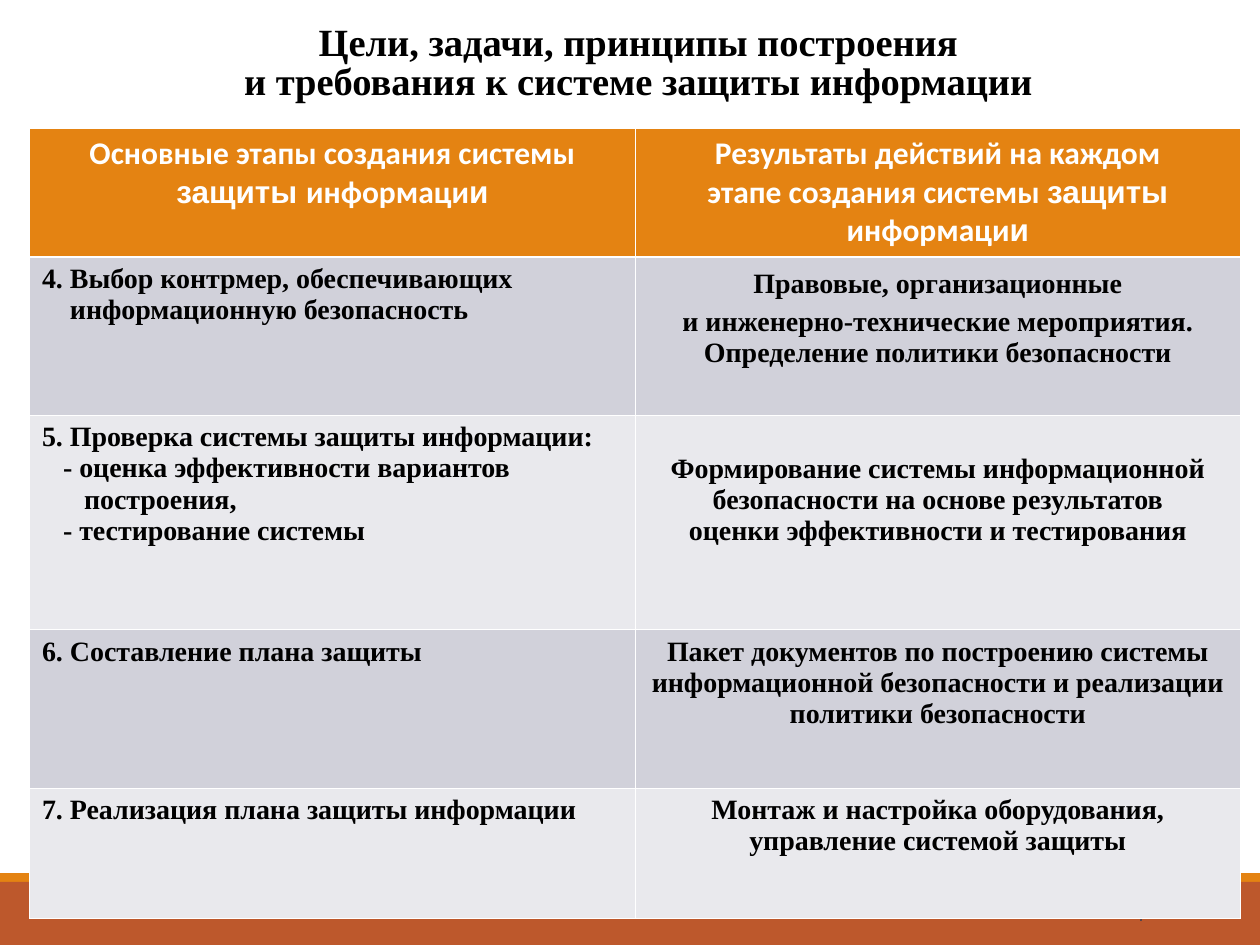
from lxml import etree
from pptx import Presentation
from pptx.dml.color import RGBColor
from pptx.enum import shapes, text
from pptx.oxml import ns
from pptx.util import Pt

SERIF, SANS, ARIAL = "Times New Roman", "Calibri", "Arial"
ORANGE, RUST, BLACK, WHITE = "E48312", "BD582C", "000000", "FFFFFF"
BANDS = ["D1D1DA", "E9E9ED"]
COLUMNS = [346.3, 345.6]
ROWS = [73.4, 90.7, 122.4, 90.7, 74.2]
INFORMATION = [("защиты ", ARIAL), ("информаци", SANS), ("и", ARIAL)]
HEADINGS = [
    [[("Основные этапы создания системы ", SANS)] + INFORMATION],
    [[("Результаты действий на каждом", SANS)],
     [("этапе создания системы ", SANS)] + INFORMATION],
]
STAGES = [
    [("4. Выбор контрмер, обеспечивающих", 0), ("информационную безопасность", 16)],
    [("5. Проверка системы защиты информации:", 0),
     ("- оценка эффективности вариантов", 12), ("построения,", 24),
     ("- тестирование системы", 12)],
    [("6. Составление плана защиты", 0)],
    [("7. Реализация плана защиты информации", 0)],
]
RESULTS = [
    (3, 4, ["Правовые, организационные", "и инженерно-технические мероприятия.",
            "Определение политики безопасности"]),
    (18, 0, ["Формирование системы информационной безопасности на основе результатов",
             "оценки эффективности и тестирования"]),
    (0, 0, ["Пакет документов по построению системы информационной безопасности "
            "и реализации политики безопасности"]),
    (0, 0, ["Монтаж и настройка оборудования, управление системой защиты"]),
]


def color(value):
    """Return the colour for a hex string."""
    return RGBColor.from_string(value)


def style(paragraph, size, ink, face=None, bold=True, align=text.PP_ALIGN.CENTER):
    """Set the alignment and font of a paragraph."""
    paragraph.alignment = align
    font = paragraph.font
    font.size, font.bold, font.color.rgb = Pt(size), bold, color(ink)
    if face:
        font.name = face


def add_label(slide, box, words, anchor):
    """Add a wrapped text box and return its paragraph."""
    frame = slide.shapes.add_textbox(*map(Pt, box)).text_frame
    frame.word_wrap, frame.vertical_anchor = True, anchor
    frame.text = words
    return frame.paragraphs[0]


def add_title(slide, box):
    """Add the two-line title, which grows upwards from the bottom of its box."""
    words = "Цели, задачи, принципы построения\vи требования к системе защиты информации"
    title = add_label(slide, box, words, text.MSO_ANCHOR.BOTTOM)
    style(title, 22, BLACK, SERIF)
    title.line_spacing = 0.85


def add_footer(slide, left, top, width, height):
    """Add the two bars at the foot and the slide number."""
    for offset, depth, fill in [(0, 5, ORANGE), (5, height - 5, RUST)]:
        bar = slide.shapes.add_shape(shapes.MSO_SHAPE.RECTANGLE, Pt(left),
                                     Pt(top + offset), Pt(width), Pt(depth))
        bar.shadow.inherit = False
        bar.fill.solid()
        bar.fill.fore_color.rgb = color(fill)
        bar.line.fill.background()
    number = add_label(slide, (left + 584.6, top + 9.3, 77.8, 28.8), "7",
                       text.MSO_ANCHOR.MIDDLE)
    style(number, 10, "3F4052", ARIAL, False, text.PP_ALIGN.RIGHT)


def paint(cell, fill, top=0.45, bottom=0.45):
    """Give a cell its fill and white borders."""
    cell.fill.solid()
    cell.fill.fore_color.rgb = color(fill)
    properties = cell._tc.get_or_add_tcPr()
    for place, (side, width) in enumerate(
            [("lnL", 0.45), ("lnR", 0.45), ("lnT", top), ("lnB", bottom)]):
        line = etree.Element(ns.qn(f"a:{side}"), w=str(Pt(width)))
        ink = etree.SubElement(line, ns.qn("a:solidFill"))
        etree.SubElement(ink, ns.qn("a:srgbClr"), val=WHITE)
        properties.insert(place, line)


def paragraphs(cell, count):
    """Return the given number of paragraphs in a cell."""
    frame = cell.text_frame
    return [frame.paragraphs[0]] + [frame.add_paragraph() for _ in range(count - 1)]


def fill_heading(cell, lines):
    """Write a column heading whose runs alternate between two fonts."""
    paint(cell, ORANGE, bottom=1.47)
    for paragraph, pieces in zip(paragraphs(cell, len(lines)), lines):
        style(paragraph, 18, WHITE)
        for words, face in pieces:
            run = paragraph.add_run()
            run.text, run.font.name = words, face


def fill_stage(cell, lines):
    """Write a stage with indented lines."""
    for paragraph, (words, indent) in zip(paragraphs(cell, len(lines)), lines):
        paragraph.text = words
        style(paragraph, 16, BLACK, SERIF, align=text.PP_ALIGN.LEFT)
        paragraph._p.get_or_add_pPr().set("marL", str(Pt(indent)))


def fill_result(cell, lead, gap, lines):
    """Write a centred result, lowered by lead, with a gap after its first line."""
    cell.margin_top = Pt(3.6 + lead)
    for paragraph, words in zip(paragraphs(cell, len(lines)), lines):
        paragraph.text = words
        style(paragraph, 16, BLACK, SERIF)
    if gap:
        cell.text_frame.paragraphs[0].space_after = Pt(gap)


def add_stages(slide, left, top):
    """Add the table of stages and their results."""
    table = slide.shapes.add_table(len(ROWS), len(COLUMNS), Pt(left), Pt(top),
                                   Pt(sum(COLUMNS)), Pt(sum(ROWS))).table
    for column, width in zip(table.columns, COLUMNS):
        column.width = Pt(width)
    for row, height in zip(table.rows, ROWS):
        row.height = Pt(height)
    for column, heading in enumerate(HEADINGS):
        fill_heading(table.cell(0, column), heading)
    for row, (stage, result) in enumerate(zip(STAGES, RESULTS), 1):
        for column in range(len(COLUMNS)):
            paint(table.cell(row, column), BANDS[(row - 1) % 2],
                  top=1.47 if row == 1 else 0.45)
        fill_stage(table.cell(row, 0), stage)
        fill_result(table.cell(row, 1), *result)


def main():
    """Build and save the slide."""
    deck = Presentation()
    deck.slide_width, deck.slide_height = Pt(720), Pt(540)
    slide = deck.slides.add_slide(deck.slide_layouts[6])
    add_footer(slide, 0, 499, 720, 41)
    add_title(slide, (39.6, 28.1, 650.2, 34.6))
    add_stages(slide, 16.8, 73.4)
    deck.save("out.pptx")


if __name__ == "__main__":
    main()
